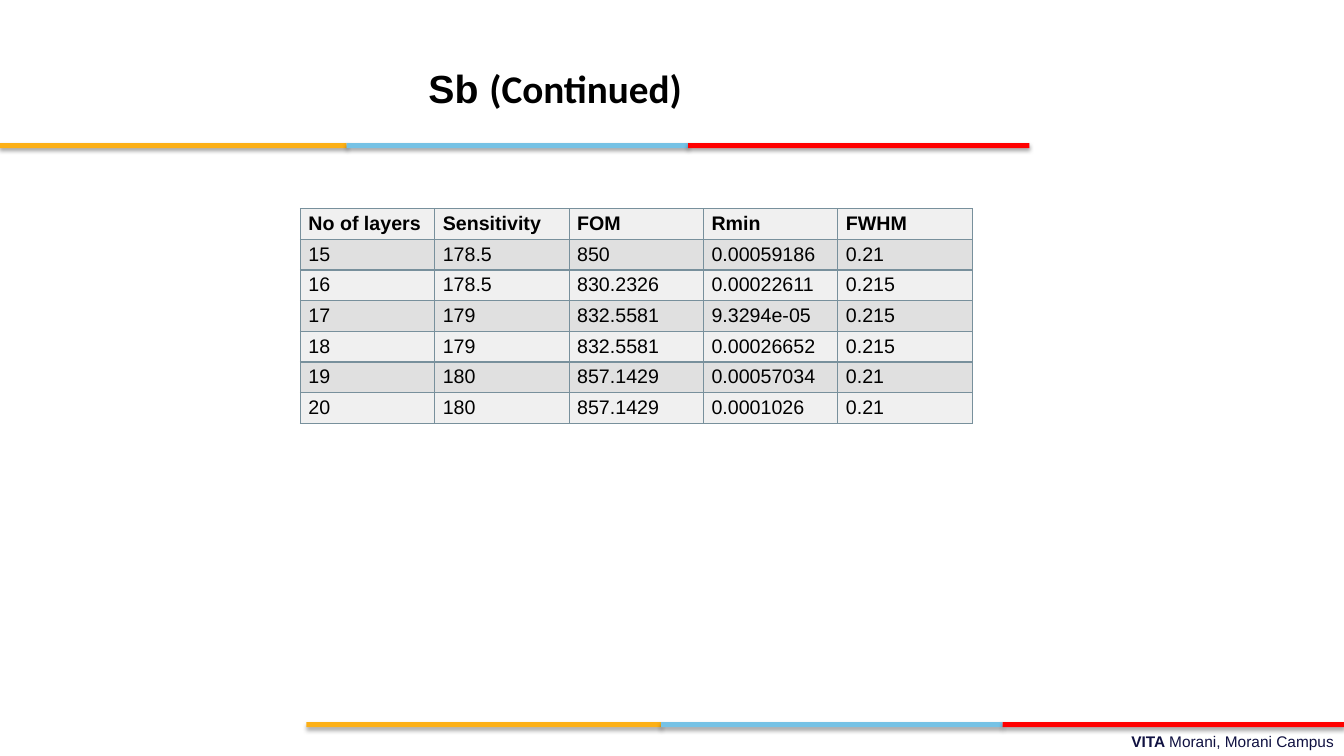
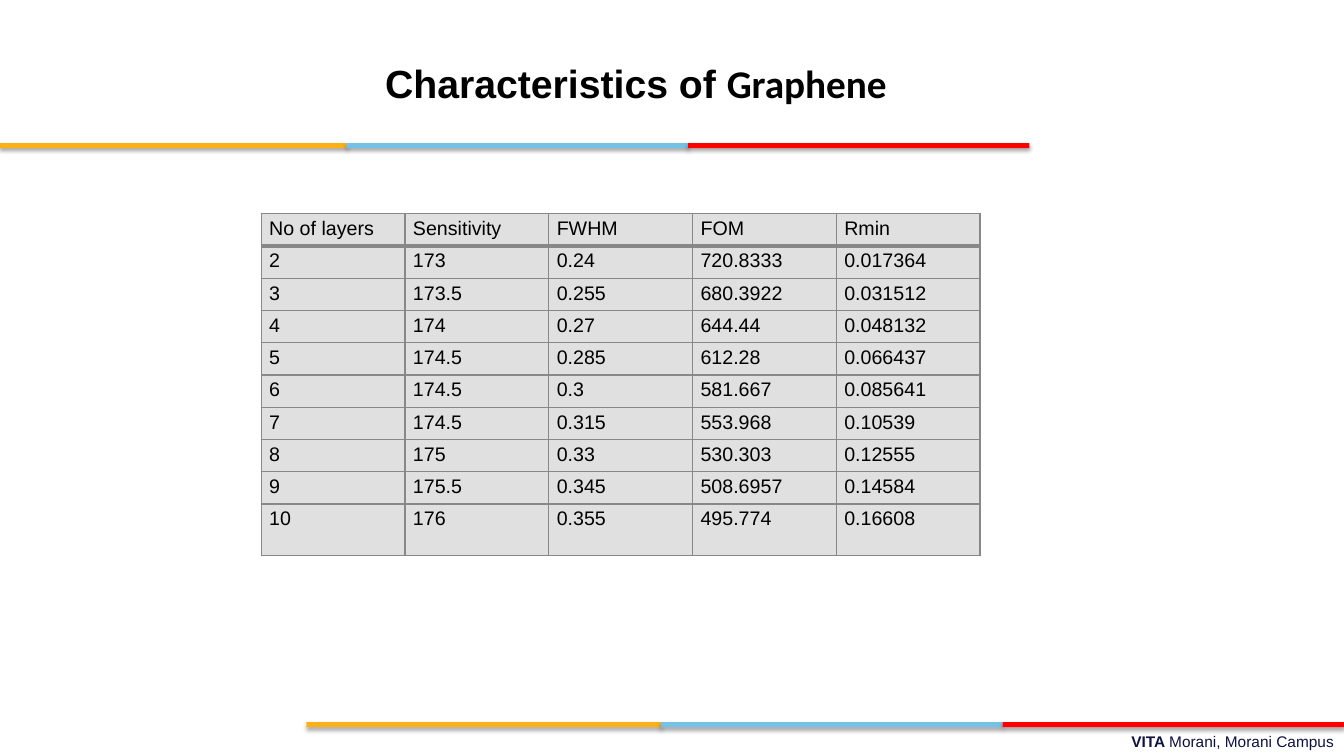
from dataclasses import dataclass

from lxml import etree
from pptx import Presentation
from pptx.dml.color import RGBColor
from pptx.enum import text
from pptx.oxml import ns
from pptx.util import Inches, Pt


@dataclass(frozen=True)
class Theme:
    gold: str = "FCB017"
    blue: str = "76C2E5"
    red: str = "FF0000"
    ink: str = "000000"
    navy: str = "101141"
    pale: str = "F0F0F0"
    grey: str = "E0E0E0"
    steel: str = "78909C"
    rule: str = "888888"
    body_font: str = "Arial"
    accent_font: str = "Calibri"
    title_size: int = 28
    table_size: int = 14
    footer_size: int = 11


THEME = Theme()
SLIDE_WIDTH = Inches(13.33)
SLIDE_HEIGHT = Inches(7.5)
TITLE_ONLY = 5


def across(percent: float) -> int:
    return round(SLIDE_WIDTH * percent / 100)


def down(percent: float) -> int:
    return round(SLIDE_HEIGHT * percent / 100)


@dataclass(frozen=True)
class Box:
    left: float
    top: float
    width: float
    height: float

    def lengths(self) -> tuple[int, int, int, int]:
        return across(self.left), down(self.top), across(self.width), down(self.height)


@dataclass(frozen=True)
class Stripe:
    left: float
    top: float
    widths: tuple[float, float, float]


@dataclass(frozen=True)
class Phrase:
    words: str
    font: str = THEME.body_font
    bold: bool = True


@dataclass(frozen=True)
class Title:
    phrases: tuple[Phrase, ...]
    box: Box
    inset_x: float
    inset_y: float
    line_spacing: float


@dataclass(frozen=True)
class Grid:
    left: float
    top: float
    column_width: float
    row_height: float
    last_row_height: float
    border: str
    fills: tuple[str, ...]
    header_bold: bool
    header_rule: float
    rows: tuple[tuple[str, ...], ...]


@dataclass(frozen=True)
class Page:
    title: Title
    grid: Grid


STRIPE_HEIGHT = 0.67
STRIPES = (
    Stripe(0, 18.93, (25.8, 25.4, 25.4)),
    Stripe(22.8, 95.53, (26.4, 25.4, 25.4)),
)
FOOTER_BOX = Box(35.86, 96.13, 64.14, 3.73)
FOOTER = (Phrase("VITA "), Phrase("Morani, Morani Campus", bold=False))

PAGES = (
    Page(
        Title(
            (Phrase("Sb "), Phrase("(Continued)", THEME.accent_font)),
            Box(31.13, 7.87, 24.6, 8.4), 0.1, 0.1, 0.9,
        ),
        Grid(
            22.35, 27.6, 10, 4.06, 4.06, THEME.steel,
            (THEME.pale, THEME.grey), True, 1,
            (
                ("No of layers", "Sensitivity", "FOM", "Rmin", "FWHM"),
                ("15", "178.5", "850", "0.00059186", "0.21"),
                ("16", "178.5", "830.2326", "0.00022611", "0.215"),
                ("17", "179", "832.5581", "9.3294e-05", "0.215"),
                ("18", "179", "832.5581", "0.00026652", "0.215"),
                ("19", "180", "857.1429", "0.00057034", "0.21"),
                ("20", "180", "857.1429", "0.0001026", "0.21"),
            ),
        ),
    ),
    Page(
        Title(
            (Phrase("Characteristics of "), Phrase("Graphene", THEME.accent_font)),
            Box(28.13, 7.33, 39.4, 7.33), 0.07, 0.04, 1,
        ),
        Grid(
            19.43, 28.27, 10.7, 4.27, 6.8, THEME.rule,
            (THEME.grey,), False, 3,
            (
                ("No of layers", "Sensitivity", "FWHM", "FOM", "Rmin"),
                ("2", "173", "0.24", "720.8333", "0.017364"),
                ("3", "173.5", "0.255", "680.3922", "0.031512"),
                ("4", "174", "0.27", "644.44", "0.048132"),
                ("5", "174.5", "0.285", "612.28", "0.066437"),
                ("6", "174.5", "0.3", "581.667", "0.085641"),
                ("7", "174.5", "0.315", "553.968", "0.10539"),
                ("8", "175", "0.33", "530.303", "0.12555"),
                ("9", "175.5", "0.345", "508.6957", "0.14584"),
                ("10", "176", "0.355", "495.774", "0.16608"),
            ),
        ),
    ),
)


def format_run(run, font: str, size: float, colour: str, bold: bool) -> None:
    run.font.name = font
    run.font.size = Pt(size)
    run.font.bold = bold
    run.font.color.rgb = RGBColor.from_string(colour)


def write_phrases(paragraph, phrases: tuple[Phrase, ...], size: float, colour: str) -> None:
    for phrase in phrases:
        run = paragraph.add_run()
        run.text = phrase.words
        format_run(run, phrase.font, size, colour, phrase.bold)


def set_insets(frame, horizontal: float, vertical: float) -> None:
    frame.margin_left = frame.margin_right = Inches(horizontal)
    frame.margin_top = frame.margin_bottom = Inches(vertical)


def add_colour(parent, colour: str):
    return etree.SubElement(parent, ns.qn("a:srgbClr"), val=colour)


def add_shadow(shape) -> None:
    shape.shadow.inherit = False
    effects = shape.element.spPr.find(ns.qn("a:effectLst"))
    shadow = etree.SubElement(
        effects, ns.qn("a:outerShdw"),
        blurRad=str(Pt(3.1)), dist=str(Pt(1.8)), dir="5400000", rotWithShape="0",
    )
    etree.SubElement(add_colour(shadow, THEME.ink), ns.qn("a:alpha"), val="35000")


def draw_stripe(slide, stripe: Stripe) -> None:
    left = stripe.left
    for width, colour in zip(stripe.widths, (THEME.gold, THEME.blue, THEME.red)):
        band = slide.shapes.add_shape(1, *Box(left, stripe.top, width, STRIPE_HEIGHT).lengths())
        band.fill.solid()
        band.fill.fore_color.rgb = RGBColor.from_string(colour)
        band.line.fill.background()
        add_shadow(band)
        left += width


def draw_footer(slide) -> None:
    frame = slide.shapes.add_textbox(*FOOTER_BOX.lengths()).text_frame
    frame.word_wrap = True
    set_insets(frame, 0.1, 0.05)
    paragraph = frame.paragraphs[0]
    paragraph.alignment = text.PP_ALIGN.RIGHT
    write_phrases(paragraph, FOOTER, THEME.footer_size, THEME.navy)


def furnish_layout(slide, layout) -> None:
    for placeholder in list(layout.placeholders):
        if placeholder.placeholder_format.idx:
            layout.shapes.element.remove(placeholder.element)
    for stripe in STRIPES:
        draw_stripe(slide, stripe)
    draw_footer(slide)
    for shape in list(slide.shapes):
        if not shape.is_placeholder:
            layout.shapes.element.append(shape.element)


def draw_title(slide, title: Title) -> None:
    shape = slide.shapes.title
    shape.left, shape.top, shape.width, shape.height = title.box.lengths()
    frame = shape.text_frame
    frame.word_wrap = True
    frame.auto_size = text.MSO_AUTO_SIZE.NONE
    frame.vertical_anchor = text.MSO_ANCHOR.TOP
    set_insets(frame, title.inset_x, title.inset_y)
    paragraph = frame.paragraphs[0]
    paragraph.alignment = text.PP_ALIGN.LEFT
    paragraph.line_spacing = title.line_spacing
    write_phrases(paragraph, title.phrases, THEME.title_size, THEME.ink)


def add_border(cell, side: str, colour: str, width: float) -> None:
    properties = cell._tc.get_or_add_tcPr()
    line = etree.SubElement(properties, ns.qn(f"a:ln{side}"), w=str(Pt(width)))
    add_colour(etree.SubElement(line, ns.qn("a:solidFill")), colour)


def draw_grid(slide, grid: Grid) -> None:
    row_count, column_count = len(grid.rows), len(grid.rows[0])
    heights = [grid.row_height] * (row_count - 1) + [grid.last_row_height]
    box = Box(grid.left, grid.top, grid.column_width * column_count, sum(heights))
    table = slide.shapes.add_table(row_count, column_count, *box.lengths()).table
    table.first_row = table.horz_banding = False
    for column in table.columns:
        column.width = across(grid.column_width)
    for row_index, (values, height) in enumerate(zip(grid.rows, heights)):
        table.rows[row_index].height = down(height)
        for column_index, value in enumerate(values):
            cell = table.cell(row_index, column_index)
            set_insets(cell, 0.08, 0.04)
            for side in "LRTB":
                heavy = (row_index, side) in ((0, "B"), (1, "T"))
                add_border(cell, side, grid.border, grid.header_rule if heavy else 1)
            cell.fill.solid()
            fill = grid.fills[row_index % len(grid.fills)]
            cell.fill.fore_color.rgb = RGBColor.from_string(fill)
            paragraph = cell.text_frame.paragraphs[0]
            paragraph.text = value
            bold = grid.header_bold and row_index == 0
            format_run(paragraph.runs[0], THEME.body_font, THEME.table_size, THEME.ink, bold)


def main() -> None:
    presentation = Presentation()
    presentation.slide_width = SLIDE_WIDTH
    presentation.slide_height = SLIDE_HEIGHT
    layout = presentation.slide_layouts[TITLE_ONLY]
    slides = [presentation.slides.add_slide(layout) for page in PAGES]
    furnish_layout(slides[0], layout)
    for slide, page in zip(slides, PAGES):
        draw_grid(slide, page.grid)
        draw_title(slide, page.title)
    presentation.save("out.pptx")


if __name__ == "__main__":
    main()
